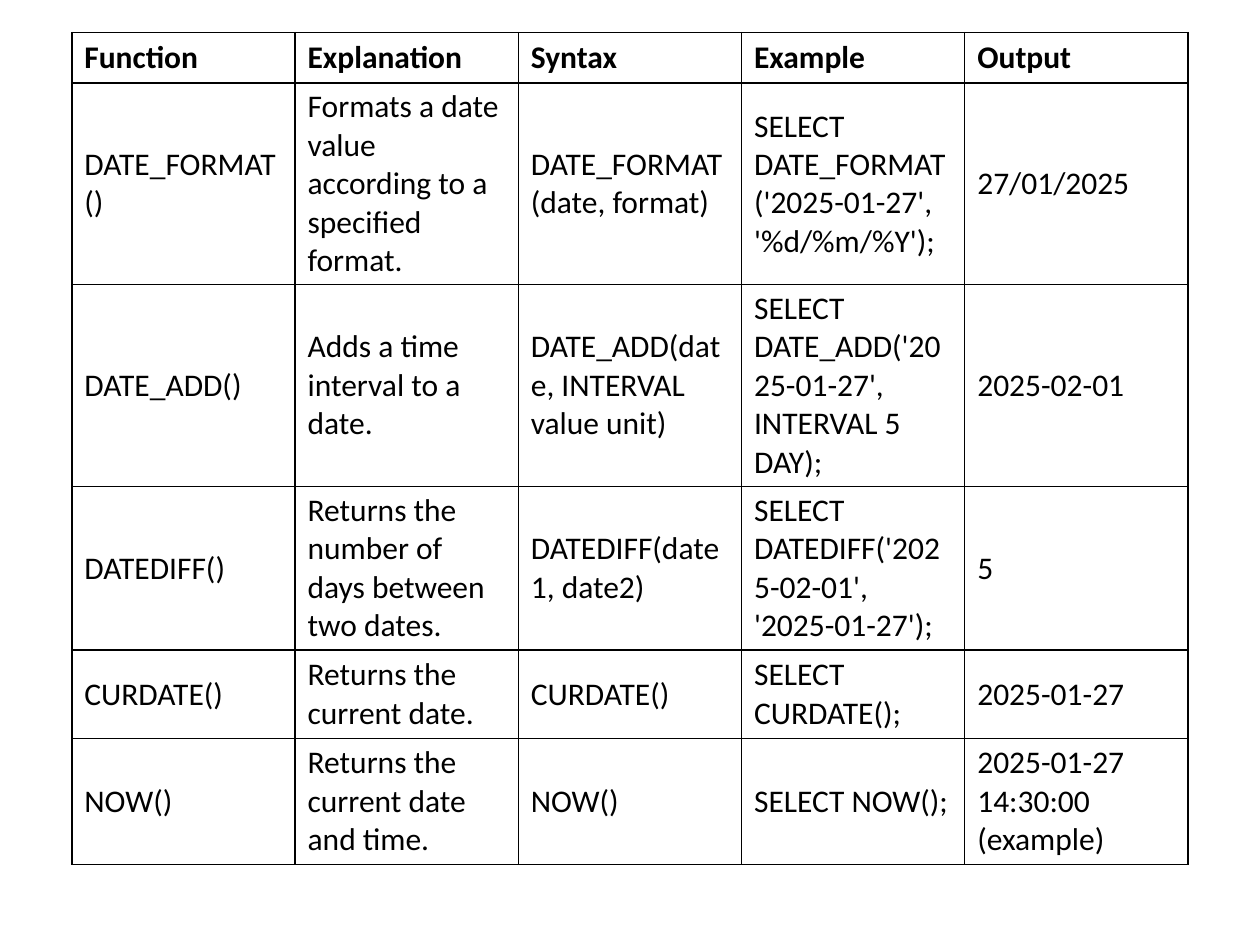
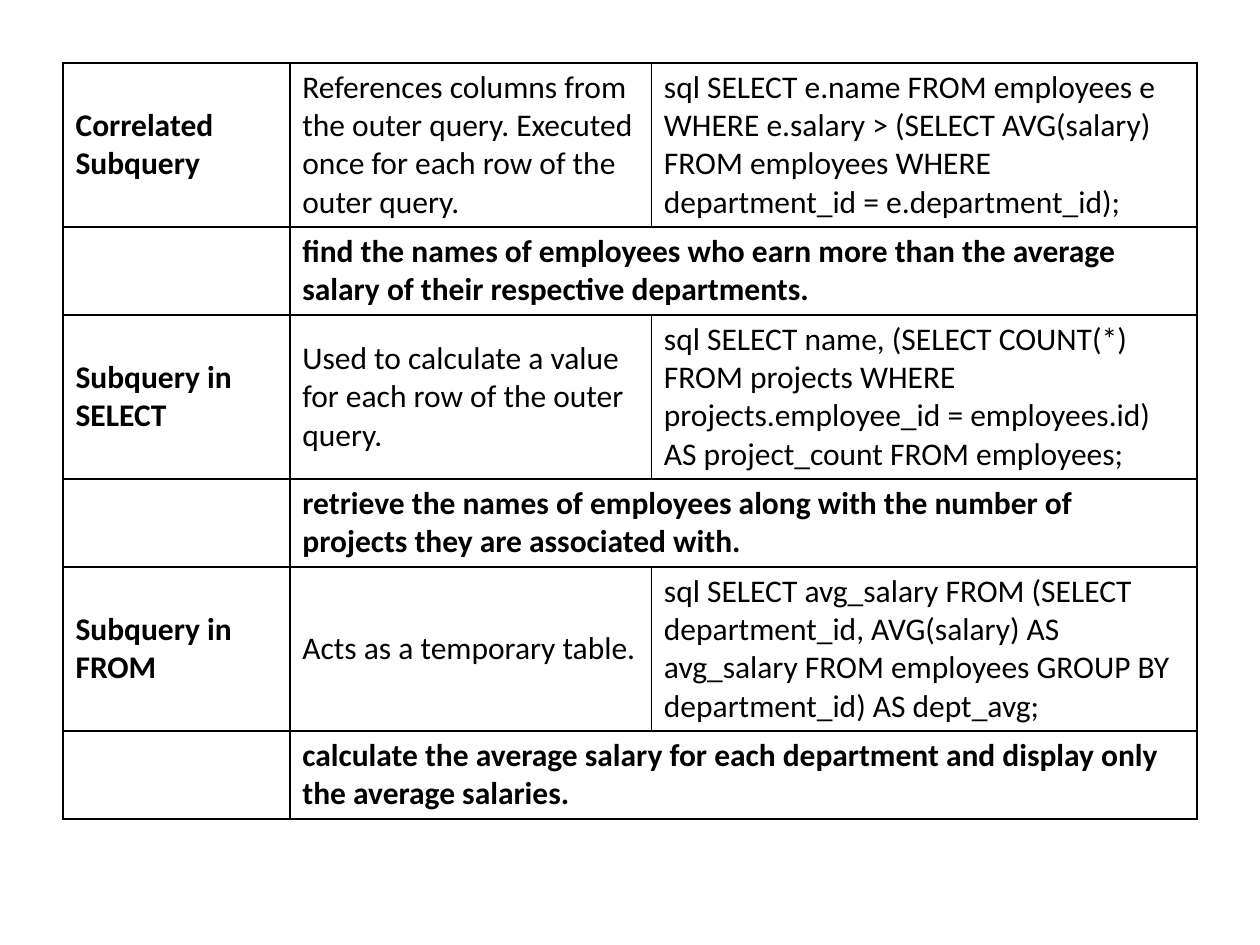
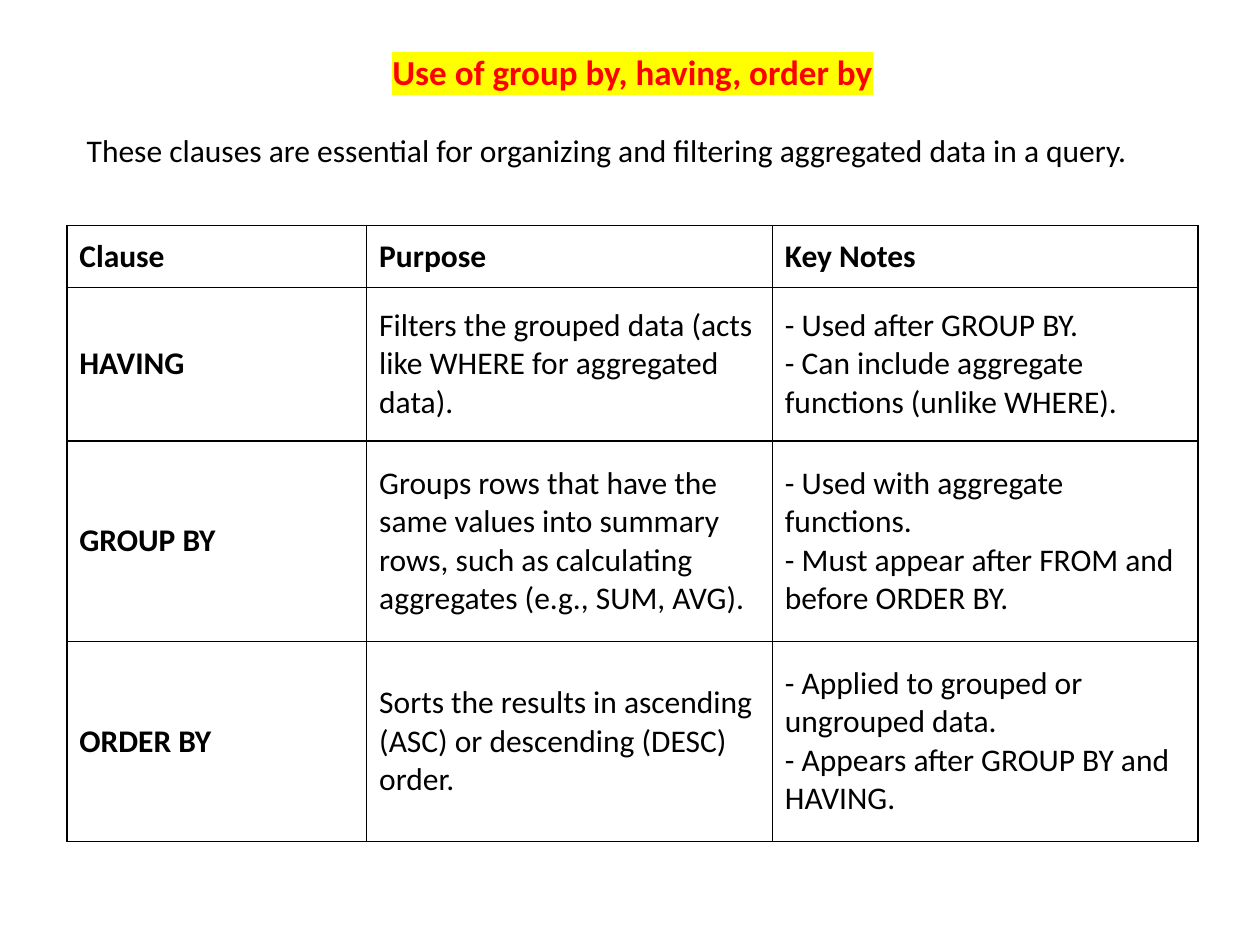
from lxml import etree
from pptx import Presentation
from pptx.dml.color import RGBColor
from pptx.enum.text import MSO_ANCHOR, PP_ALIGN
from pptx.oxml.ns import qn
from pptx.util import Inches, Pt

MIDDLE = MSO_ANCHOR.MIDDLE
CENTER = PP_ALIGN.CENTER
HUES = {"ink": "000000", "paper": "FFFFFF", "alert": "FF0000", "mark": "FFFF00"}
SIDES = ("a:lnL", "a:lnR", "a:lnT", "a:lnB")

DATES = [
    ["Function", "Explanation", "Syntax", "Example", "Output"],
    ["DATE_FORMAT()", "Formats a date value according to a specified format.",
     "DATE_FORMAT(date, format)",
     "SELECT DATE_FORMAT('2025-01-27', '%d/%m/%Y');", "27/01/2025"],
    ["DATE_ADD()", "Adds a time interval to a date.",
     "DATE_ADD(date, INTERVAL value unit)",
     "SELECT DATE_ADD('2025-01-27', INTERVAL 5 DAY);", "2025-02-01"],
    ["DATEDIFF()", "Returns the number of days between two dates.",
     "DATEDIFF(date1, date2)",
     "SELECT DATEDIFF('2025-02-01', '2025-01-27');", "5"],
    ["CURDATE()", "Returns the current date.", "CURDATE()",
     "SELECT CURDATE();", "2025-01-27"],
    ["NOW()", "Returns the current date and time.", "NOW()",
     "SELECT NOW();", "2025-01-27 14:30:00 (example)"],
]

QUERIES = [
    ["Correlated Subquery",
     "References columns from the outer query. Executed once for each row of the outer query.",
     "sql SELECT e.name FROM employees e WHERE e.salary > (SELECT AVG(salary) "
     "FROM employees WHERE department_id = e.department_id);"],
    ["", "find the names of employees who earn more than the average salary "
     "of their respective departments.", None],
    ["Subquery in SELECT",
     "Used to calculate a value for each row of the outer query.",
     "sql SELECT name, (SELECT COUNT(*) FROM projects WHERE "
     "projects.employee_id = employees.id) AS project_count FROM employees;"],
    ["", "retrieve the names of employees along with the number of projects "
     "they are associated with.", None],
    ["Subquery in FROM", "Acts as a temporary table.",
     "sql SELECT avg_salary FROM (SELECT department_id, AVG(salary) AS avg_salary "
     "FROM employees GROUP BY department_id) AS dept_avg;"],
    ["", "calculate the average salary for each department and display only "
     "the average salaries.", None],
]

CLAUSES = [
    ["Clause", "Purpose", "Key Notes"],
    ["HAVING", "Filters the grouped data (acts like WHERE for aggregated data).",
     "- Used after GROUP BY.\n- Can include aggregate functions (unlike WHERE)."],
    ["GROUP BY",
     "Groups rows that have the same values into summary rows, "
     "such as calculating aggregates (e.g., SUM, AVG).",
     "- Used with aggregate functions.\n- Must appear after FROM and before ORDER BY."],
    ["ORDER BY", "Sorts the results in ascending (ASC) or descending (DESC) order.",
     "- Applied to grouped or ungrouped data.\n- Appears after GROUP BY and HAVING."],
]


class Deck:
    """Holds the shared style and the current slide."""

    def __init__(self):
        self.prs = Presentation()
        self.prs.slide_width, self.prs.slide_height = Inches(10), Inches(7.5)
        self.font, self.size = "Calibri", 18

    def page(self):
        self.slide = self.prs.slides.add_slide(self.prs.slide_layouts[6])

    def words(self, para, text, bold=False, size=None, hue="ink", mark=None):
        for i, line in enumerate(text.split("\n")):
            if i:
                para.add_line_break()
            run = para.add_run()
            run.text = line
            font = run.font
            font.name, font.size, font.bold = self.font, Pt(size or self.size), bold
            font.color.rgb = RGBColor.from_string(HUES[hue])
            if mark:
                glow = etree.Element(qn("a:highlight"))
                etree.SubElement(glow, qn("a:srgbClr"), val=HUES[mark])
                run._r.rPr.find(qn("a:solidFill")).addnext(glow)

    def intro(self, left, top, wide, high, title, lead):
        frame = self.slide.shapes.add_textbox(
            Inches(left), Inches(top), Inches(wide), Inches(high)).text_frame
        frame.word_wrap = True
        head = frame.paragraphs[0]
        head.alignment = CENTER
        self.words(head, title, True, 20, "alert", "mark")
        body = frame.add_paragraph()
        body._p.get_or_add_pPr().set("marL", str(Inches(0.06)))
        body.space_before = Pt(22)
        self.words(body, lead)

    def edge(self, cell):
        props = cell._tc.get_or_add_tcPr()
        for side in SIDES:
            line = etree.SubElement(props, qn(side), w=str(Pt(1)))
            fill = etree.SubElement(line, qn("a:solidFill"))
            etree.SubElement(fill, qn("a:srgbClr"), val=HUES["ink"])

    def table(self, left, top, cols, rows, data, head=True, stub=True, pad=0.05):
        grid = self.slide.shapes.add_table(
            len(rows), len(cols), Inches(left), Inches(top),
            Inches(sum(cols)), Inches(sum(rows))).table
        grid.first_row, grid.horz_banding = head, False
        for col, wide in zip(grid.columns, cols):
            col.width = Inches(wide)
        for row, high in zip(grid.rows, rows):
            row.height = Inches(high)
        for r, texts in enumerate(data):
            for c, text in enumerate(texts):
                cell = grid.cell(r, c)
                self.edge(cell)
                cell.fill.solid()
                cell.fill.fore_color.rgb = RGBColor.from_string(HUES["paper"])
                cell.vertical_anchor = MIDDLE
                cell.margin_top = cell.margin_bottom = Inches(pad)
                if text is None:
                    grid.cell(r, c - 1).merge(cell)
                elif text:
                    bold = (head and r == 0) or (stub and c == 0) or None in texts
                    self.words(cell.text_frame.paragraphs[0], text, bold)


def main():
    deck = Deck()
    deck.page()
    deck.table(0.57, 0.26, [8.86 / 5] * 5, [0.4, 1.6, 1.6, 1.3, 0.7, 1],
               DATES, stub=False, pad=0.03)
    deck.page()
    deck.table(0.5, 0.5, [1.8, 2.87, 4.33], [1.3, 0.7] * 3,
               QUERIES, head=False, pad=0.03)
    deck.page()
    deck.intro(0.53, 0.35, 8.98, 1.04, "Use of group by, having, order by",
               "These clauses are essential for organizing and filtering "
               "aggregated data in a query.")
    deck.table(0.53, 1.79, [2.38, 3.22, 3.38], [0.49, 1.22, 1.59, 1.59], CLAUSES)
    deck.prs.save("out.pptx")


if __name__ == "__main__":
    main()
